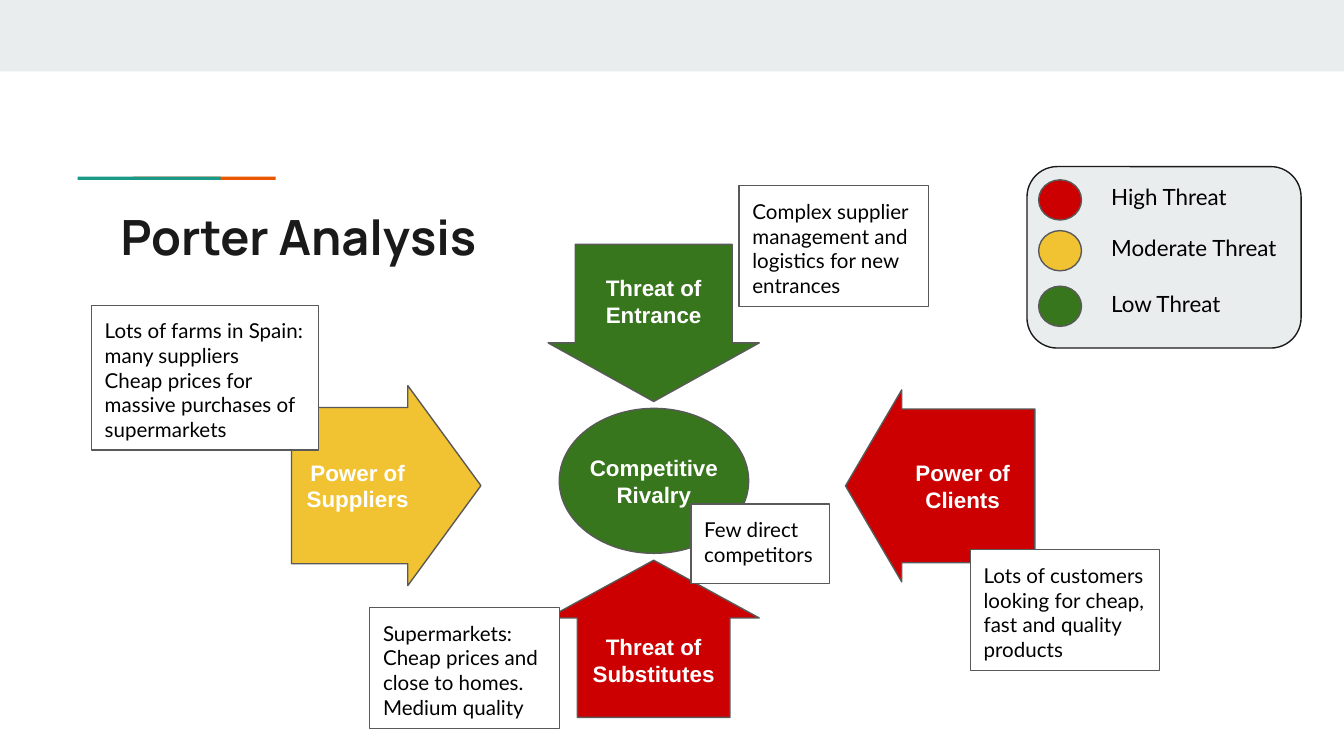
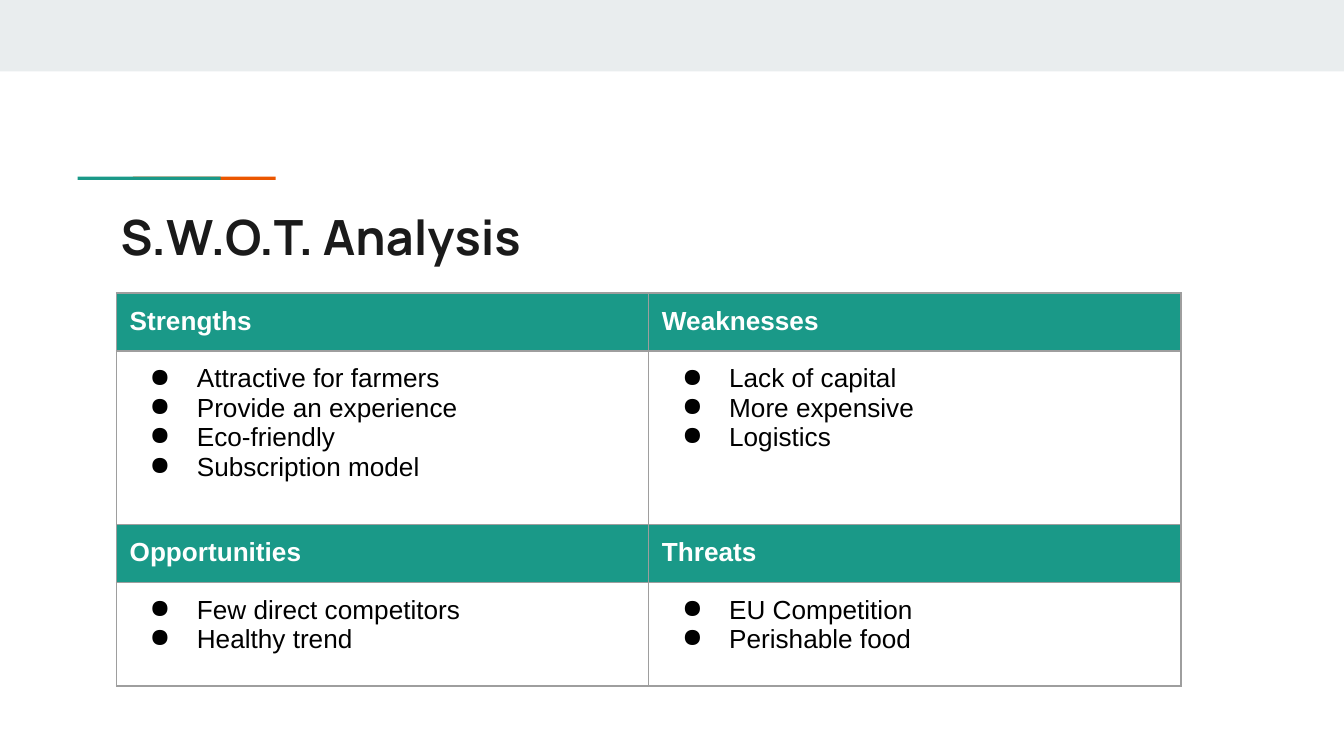
"""Build the Porter and S.W.O.T. analysis slides."""
from lxml.etree import SubElement
from pptx import Presentation
from pptx.dml.color import RGBColor
from pptx.enum.shapes import MSO_SHAPE
from pptx.enum.text import MSO_ANCHOR, PP_ALIGN
from pptx.oxml.ns import qn
from pptx.util import Cm, Pt

WHITE = RGBColor(0xFF, 0xFF, 0xFF)
BLACK = RGBColor(0, 0, 0)
DARK = RGBColor(0x1A, 0x1A, 0x1A)
PALE = RGBColor(0xE9, 0xED, 0xEE)
GRAY = RGBColor(0x59, 0x59, 0x59)
EDGE = RGBColor(0x9E, 0x9E, 0x9E)
TEAL = RGBColor(0x1A, 0x99, 0x88)
ORANGE = RGBColor(0xEB, 0x56, 0x00)
RED = RGBColor(0xCC, 0x00, 0x00)
YELLOW = RGBColor(0xF1, 0xC2, 0x32)
GREEN = RGBColor(0x38, 0x76, 0x1D)

TITLE = {"name": "Manrope", "size": Pt(26), "bold": True}
FORCE = {"name": "Arial", "size": Pt(12), "bold": True}
NOTE = {"name": "Lato", "size": Pt(11), "bold": False}
KEY = {"name": "Lato", "size": Pt(12), "bold": False}
HEAD = {"name": "Arial", "size": Pt(14), "bold": True}
ITEM = {"name": "Arial", "size": Pt(14), "bold": False}
FRAME = {"word_wrap": True, "margin_left": Cm(0.25), "margin_right": Cm(0.25),
         "margin_top": Cm(0.25), "margin_bottom": Cm(0.25)}


def draw(slide, kind, box, fill, line=None):
    shape = slide.shapes.add_shape(kind, *map(Cm, box))
    shape.shadow.inherit = False
    shape.fill.solid()
    shape.fill.fore_color.rgb = fill
    if line is None:
        shape.line.fill.background()
    else:
        shape.line.color.rgb = line
        shape.line.width = Pt(0.75)
    return shape


def write(frame, lines, look, ink, align=PP_ALIGN.LEFT, bullet=False):
    for key, value in FRAME.items():
        setattr(frame, key, value)
    for i, line in enumerate(lines):
        para = frame.paragraphs[0] if i == 0 else frame.add_paragraph()
        para.alignment = align
        if bullet:
            props = para._p.get_or_add_pPr()
            props.set("marL", str(Cm(1.27)))
            props.set("indent", str(-Cm(0.89)))
            tint = SubElement(props, qn("a:buClr"))
            SubElement(tint, qn("a:srgbClr"), val=str(ink))
            SubElement(props, qn("a:buChar"), char="●")
        run = para.add_run()
        run.text = line
        for key, value in look.items():
            setattr(run.font, key, value)
        run.font.color.rgb = ink


deck = Presentation()
deck.slide_width, deck.slide_height = Cm(25.4), Cm(14.29)
slides = []
for title in ("Porter Analysis", "S.W.O.T. Analysis"):
    slide = deck.slides.add_slide(deck.slide_layouts[6])
    draw(slide, MSO_SHAPE.RECTANGLE, (0, 0, 25.4, 1.35), PALE)
    for left, fill in ((2.51, ORANGE), (1.47, TEAL)):
        draw(slide, MSO_SHAPE.RECTANGLE, (left, 3.34, 2.7, 0.06), fill)
    box = slide.shapes.add_textbox(Cm(2.03), Cm(3.66), Cm(21.36), Cm(1.5))
    write(box.text_frame, [title], TITLE, DARK)
    slides.append(slide)
porter, swot = slides

forces = [
    (MSO_SHAPE.OVAL, (10.57, 7.72, 3.58, 2.74), (), GREEN, "Competitive Rivalry"),
    (MSO_SHAPE.DOWN_ARROW, (10.36, 4.62, 3.99, 2.97), (0.743, 0.373), GREEN,
     "Threat of Entrance"),
    (MSO_SHAPE.UP_ARROW, (10.36, 10.59, 3.99, 2.97), (0.723, 0.368), RED,
     "Threat of Substitutes"),
    (MSO_SHAPE.RIGHT_ARROW, (5.51, 7.29, 3.58, 3.78), (0.781, 0.386), YELLOW,
     "Power of Suppliers"),
    (MSO_SHAPE.LEFT_ARROW, (15.98, 7.37, 3.58, 3.63), (0.8, 0.297), RED,
     "Power of Clients"),
]
for kind, box, bends, fill, text in forces:
    shape = draw(porter, kind, box, fill, GRAY)
    for i, bend in enumerate(bends):
        shape.adjustments[i] = bend
    frame = shape.text_frame
    write(frame, [text], FORCE, WHITE, PP_ALIGN.CENTER)
    frame.vertical_anchor = MSO_ANCHOR.MIDDLE
    if kind == MSO_SHAPE.OVAL:
        frame.margin_left = frame.margin_right = 0

notes = [
    ((13.06, 9.53, 2.62, 1.5), ["Few direct competitors"]),
    ((13.97, 3.51, 3.58, 2.29),
     ["Complex supplier management and logistics for new entrances"]),
    ((1.73, 5.77, 4.29, 2.74),
     ["Lots of farms in Spain: many suppliers",
      "Cheap prices for massive purchases of supermarkets"]),
    ((6.99, 11.48, 3.58, 2.29),
     ["Supermarkets:", "Cheap prices and close to homes.", "Medium quality"]),
    ((18.34, 10.39, 3.58, 2.29),
     ["Lots of customers looking for cheap, fast and quality products"]),
]
for box, lines in notes:
    shape = draw(porter, MSO_SHAPE.RECTANGLE, box, WHITE, GRAY)
    write(shape.text_frame, lines, NOTE, BLACK)
    shape.text_frame.vertical_anchor = MSO_ANCHOR.TOP

draw(porter, MSO_SHAPE.ROUNDED_RECTANGLE, (19.41, 3.15, 5.18, 3.43), PALE, DARK)
for top, fill, text in ((3.4, RED, "High Threat"),
                        (4.36, YELLOW, "Moderate Threat"),
                        (5.41, GREEN, "Low Threat")):
    draw(porter, MSO_SHAPE.OVAL, (19.63, top, 0.81, 0.76), fill, GRAY)
    box = porter.shapes.add_textbox(Cm(20.75), Cm(top - 0.18), Cm(3.73), Cm(1.04))
    write(box.text_frame, [text], KEY, BLACK)

rows = [
    (1.06, [["Strengths"], ["Weaknesses"]]),
    (3.28, [["Attractive for farmers", "Provide an experience",
             "Eco-friendly", "Subscription model"],
            ["Lack of capital", "More expensive", "Logistics"]]),
    (1.06, [["Opportunities"], ["Threats"]]),
    (1.96, [["Few direct competitors", "Healthy trend"],
            ["EU Competition", "Perishable food"]]),
]
table = swot.shapes.add_table(4, 2, Cm(2.2), Cm(5.54), Cm(20.11), Cm(7.36)).table
for col in table.columns:
    col.width = Cm(10.06)
for r, (height, cells) in enumerate(rows):
    table.rows[r].height = Cm(height)
    head = r % 2 == 0
    for c, lines in enumerate(cells):
        cell = table.cell(r, c)
        write(cell.text_frame, lines, HEAD if head else ITEM,
              WHITE if head else BLACK, bullet=not head)
        for side in ("left", "right", "top", "bottom"):
            setattr(cell, "margin_" + side, Cm(0.25))
        props = cell._tc.get_or_add_tcPr()
        for side in "LRTB":
            edge = SubElement(props, qn("a:ln" + side), w=str(Pt(0.75)))
            paint = SubElement(edge, qn("a:solidFill"))
            SubElement(paint, qn("a:srgbClr"), val=str(EDGE))
        if head:
            cell.fill.solid()
            cell.fill.fore_color.rgb = TEAL
        else:
            cell.fill.background()

deck.save("out.pptx")
